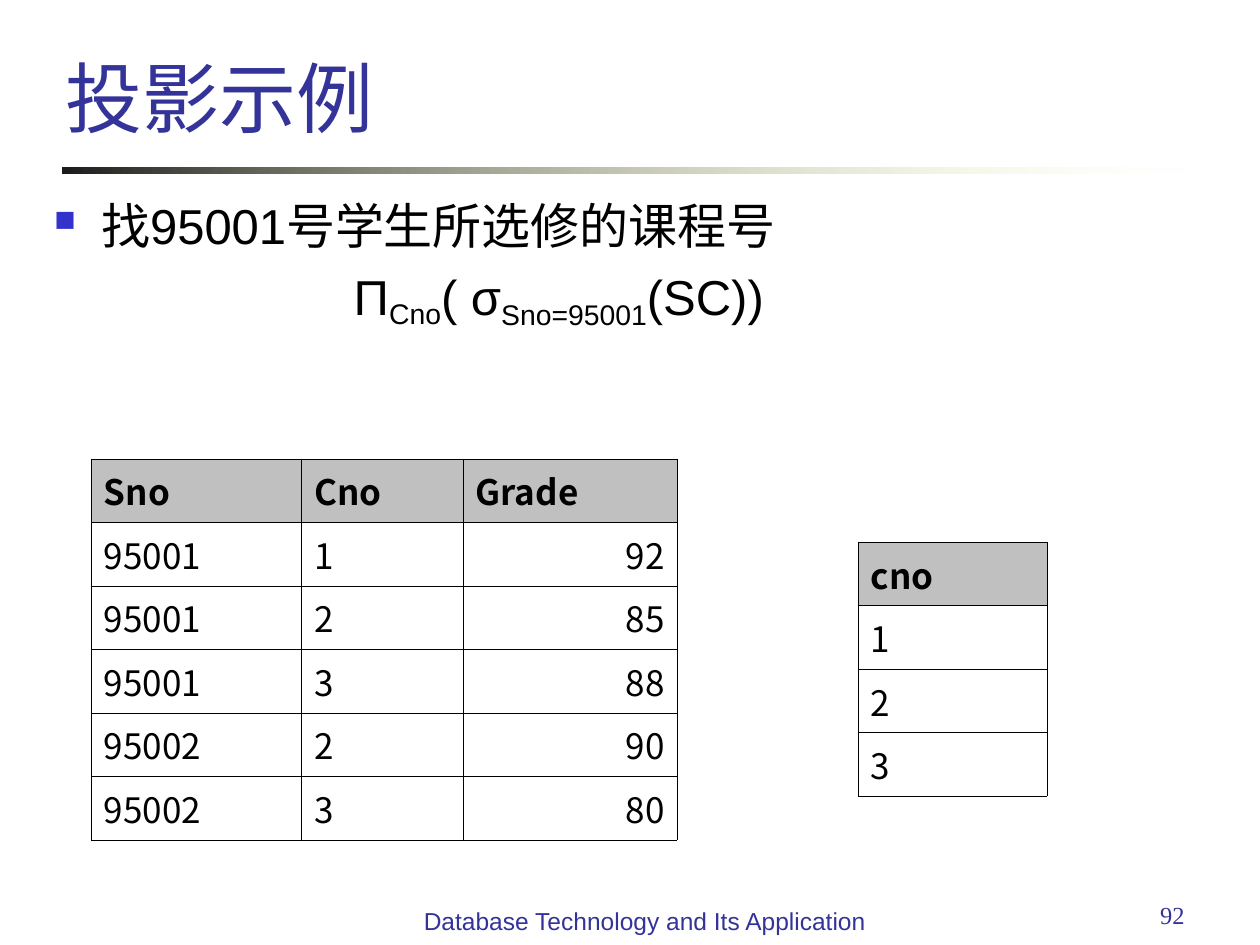
from dataclasses import dataclass

from lxml import etree
from pptx import Presentation
from pptx import util as u
from pptx.dml.color import RGBColor
from pptx.enum import shapes, text
from pptx.oxml import ns


@dataclass(frozen=True)
class Theme:
    navy: str = "333399"
    bullet: str = "3333CC"
    ink: str = "000000"
    paper: str = "FFFFFF"
    header: str = "C0C0C0"
    rule_start: str = "1C1C1C"
    rule_end: str = "FFFFB7"
    sans: str = "Arial"
    cjk: str = "Noto Sans CJK SC"
    serif: str = "Times New Roman"
    title_size: int = 44
    body_size: int = 28
    table_size: int = 20
    footer_size: int = 14
    border: float = 0.34


THEME = Theme()
LEFT, CENTER, RIGHT = text.PP_ALIGN.LEFT, text.PP_ALIGN.CENTER, text.PP_ALIGN.RIGHT


def add_xml(parent, tag, **attributes):
    return etree.SubElement(parent, ns.qn(tag), attributes)


def write(paragraph, words, *, size, font=THEME.sans, color=THEME.ink,
          bold=False, align=LEFT, baseline=0):
    """Append one formatted run to a paragraph."""
    paragraph.alignment = align
    run = paragraph.add_run()
    run.text = words
    run.font.size = u.Pt(size)
    run.font.bold = bold
    run.font.name = font
    run.font.color.rgb = RGBColor.from_string(color)
    properties = run.font._element
    add_xml(properties, "a:ea", typeface=THEME.cjk)
    if baseline:
        properties.set("baseline", str(baseline * 1000))


def indent(paragraph, margin, first_line):
    properties = paragraph._p.get_or_add_pPr()
    properties.set("marL", str(u.Cm(margin)))
    properties.set("indent", str(u.Cm(first_line)))
    return properties


def add_text_frame(slide, box):
    frame = slide.shapes.add_textbox(*map(u.Cm, box)).text_frame
    frame.word_wrap = True
    return frame


def add_heading(slide, box, words):
    """Title with a fading rule under it."""
    left, top, width, height = box
    title = slide.shapes.title
    title.left, title.top, title.width, title.height = map(u.Cm, box)
    frame = title.text_frame
    frame.vertical_anchor = text.MSO_ANCHOR.BOTTOM
    frame.auto_size = text.MSO_AUTO_SIZE.NONE
    write(frame.paragraphs[0], words, size=THEME.title_size, color=THEME.navy)

    rule = slide.shapes.add_shape(
        shapes.MSO_SHAPE.RECTANGLE, u.Cm(left + 0.2), u.Cm(top + height + 0.37),
        u.Cm(22.86), u.Cm(0.12))
    rule.shadow.inherit = False
    rule.line.fill.background()
    rule.fill.gradient()
    rule.fill.gradient_angle = 0
    for stop, color in zip(rule.fill.gradient_stops, (THEME.rule_start, THEME.rule_end)):
        stop.color.rgb = RGBColor.from_string(color)
    end_color = list(rule.fill._fill._gradFill.iter(ns.qn("a:srgbClr")))[-1]
    add_xml(end_color, "a:alpha", val="0")


def add_query(slide, box, question, formula):
    """Bulleted question and its relational algebra expression."""
    frame = add_text_frame(slide, box)
    asked, answer = frame.paragraphs[0], frame.add_paragraph()
    for paragraph in (asked, answer):
        paragraph.space_before = u.Pt(7)

    write(asked, question, size=THEME.body_size)
    bullet = indent(asked, 0.95, -0.95)
    add_xml(add_xml(bullet, "a:buClr"), "a:srgbClr", val=THEME.bullet)
    add_xml(bullet, "a:buSzPct", val="60000")
    add_xml(bullet, "a:buChar", char="■")

    for words, baseline in formula:
        write(answer, words, size=THEME.body_size, align=CENTER, baseline=baseline)
    indent(answer, 2.06, -0.79)


def format_cell(cell, words, is_header, align):
    cell.vertical_anchor = text.MSO_ANCHOR.MIDDLE if is_header else text.MSO_ANCHOR.TOP
    properties = cell._tc.get_or_add_tcPr()
    for side in "LRTB":
        line = add_xml(properties, f"a:ln{side}", w=str(u.Pt(THEME.border)))
        add_xml(add_xml(line, "a:solidFill"), "a:srgbClr", val=THEME.ink)
    cell.fill.solid()
    cell.fill.fore_color.rgb = RGBColor.from_string(
        THEME.header if is_header else THEME.paper)
    write(cell.text_frame.paragraphs[0], words, size=THEME.table_size,
          font=THEME.cjk, bold=is_header, align=align)


def add_relation(slide, left, top, column_widths, records, row_height=1.28):
    """Table with a header row; grades are set to the right."""
    table = slide.shapes.add_table(
        len(records), len(column_widths), u.Cm(left), u.Cm(top),
        u.Cm(sum(column_widths)), u.Cm(row_height * len(records))).table
    table.horz_banding = False
    for column, width in zip(table.columns, column_widths):
        column.width = u.Cm(width)
    for r, record in enumerate(records):
        table.rows[r].height = u.Cm(row_height)
        for c, words in enumerate(record):
            is_grade = r > 0 and records[0][c] == "Grade"
            format_cell(table.cell(r, c), words, r == 0, RIGHT if is_grade else LEFT)


def add_footer(slide, box, words, **style):
    frame = add_text_frame(slide, box)
    write(frame.paragraphs[0], words, size=THEME.footer_size, color=THEME.navy, **style)


def main():
    deck = Presentation()
    deck.slide_width, deck.slide_height = u.Cm(25.4), u.Cm(19.05)
    slide = deck.slides.add_slide(deck.slide_layouts.get_by_name("Title Only"))

    add_heading(slide, (1.07, 0, 22.3, 3), "投影示例")
    add_query(slide, (0.84, 3.81, 19.58, 13.23), "找95001号学生所选修的课程号",
              [("Π", 0), ("Cno", -18), ("( σ", 0), ("Sno=95001", -20), ("(SC))", 0)])

    # Source relation and its projection
    add_relation(slide, 1.84, 9.25, (4.24, 3.25, 4.32), [
        ("Sno", "Cno", "Grade"),
        ("95001", "1", "92"),
        ("95001", "2", "85"),
        ("95001", "3", "88"),
        ("95002", "2", "90"),
        ("95002", "3", "80"),
    ])
    add_relation(slide, 17.3, 10.93, (3.81,), [("cno",), ("1",), ("2",), ("3",)])

    # Page number and course name
    add_footer(slide, (18.21, 18.01, 5.92, 1.32), "92", font=THEME.serif, align=RIGHT)
    add_footer(slide, (8.1, 18.14, 9.8, 1.32),
               "Database Technology and Its Application", align=CENTER)

    deck.save("out.pptx")


if __name__ == "__main__":
    main()
